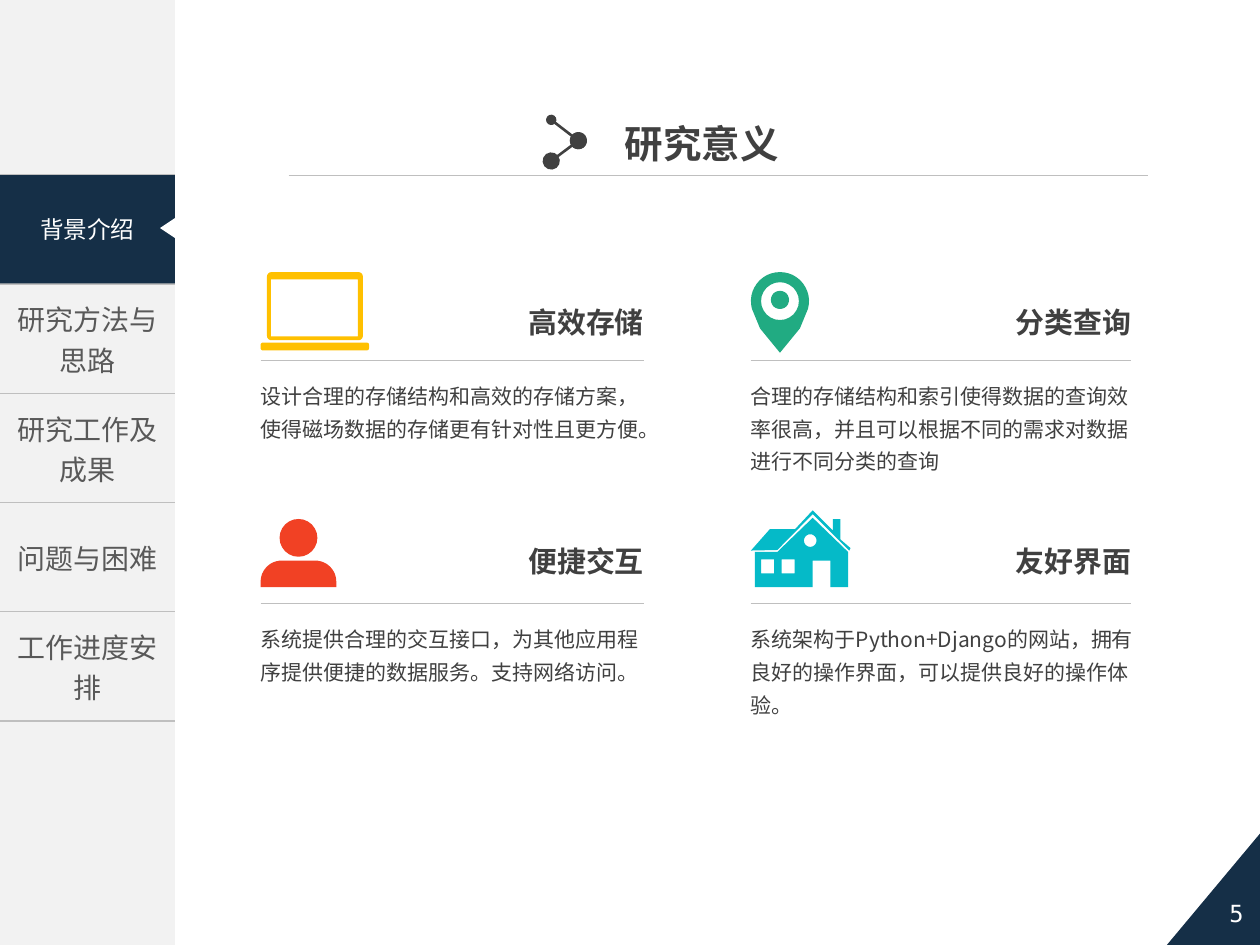
from math import cos, radians, sin

from lxml.etree import SubElement
from pptx import Presentation
from pptx.dml.color import RGBColor
from pptx.enum.shapes import MSO_CONNECTOR, MSO_SHAPE
from pptx.enum.text import MSO_ANCHOR as ANCHOR, MSO_AUTO_SIZE as FIT, PP_ALIGN as ALIGN
from pptx.oxml.ns import qn
from pptx.util import Pt

COLORS = {
    "panel": "F2F2F2", "navy": "152F47", "white": "FFFFFF", "rule": "BFBFBF",
    "text": "404040", "nav": "595959", "yellow": "FFC000", "green": "21AB82",
    "red": "F14124", "cyan": "05BAC8",
}
CJK = "Noto Sans CJK SC"
UNITS = 20  # freeform steps per point
NAV_W, NAV_TOP, NAV_ROW = 100, 100, 62.4
NAV_ITEMS = ["研究方法与思路", "研究工作及成果", "问题与困难", "工作进度安排"]


def rgb(name):
    return RGBColor.from_string(COLORS[name])


def write(tf, text, size, color, font=CJK, bold=False, align=ALIGN.LEFT, spacing=None):
    p = tf.paragraphs[0]
    p.text = text
    p.alignment = align
    p.line_spacing = spacing
    p.font.size, p.font.bold, p.font.name = Pt(size), bold, font
    p.font.color.rgb = rgb(color)
    SubElement(p._p.pPr.find(qn("a:defRPr")), qn("a:ea"), typeface=font)


def set_margins(tf, side, edge):
    tf.margin_left = tf.margin_right = Pt(side)
    tf.margin_top = tf.margin_bottom = Pt(edge)


def paint(sp, color):
    sp.shadow.inherit = False
    sp.line.fill.background()
    if color:
        sp.fill.solid()
        sp.fill.fore_color.rgb = rgb(color)
    else:
        sp.fill.background()


def add_preset(s, kind, x, y, w, h, color=None, flip=False):
    sp = s.shapes.add_shape(kind, Pt(x), Pt(y), Pt(w), Pt(h))
    paint(sp, color)
    if flip:
        sp._element.spPr.xfrm.set("flipH", "1")
    return sp


def add_line(s, x1, y1, x2, y2, color="rule", width=0.5, ends=()):
    line = s.shapes.add_connector(MSO_CONNECTOR.STRAIGHT, Pt(x1), Pt(y1), Pt(x2), Pt(y2))
    line.line.color.rgb = rgb(color)
    line.line.width = Pt(width)
    for tag, size in zip(("a:headEnd", "a:tailEnd"), ends):
        SubElement(line.line._get_or_add_ln(), qn(tag), type="oval", w=size, len=size)
    SubElement(line._element.spPr, qn("a:effectLst"))


def add_text(s, x, y, w, h, text, size, wrap=True, anchor=ANCHOR.TOP, **style):
    tf = s.shapes.add_textbox(Pt(x), Pt(y), Pt(w), Pt(h)).text_frame
    tf.word_wrap, tf.vertical_anchor, tf.auto_size = wrap, anchor, FIT.SHAPE_TO_FIT_TEXT
    write(tf, text, size, "text", **style)


# Outlines, as lists of points
def arc(cx, cy, r, start=0, end=360, steps=24):
    angles = [radians(start + (end - start) * i / steps) for i in range(steps + 1)]
    return [(cx + r * cos(a), cy + r * sin(a)) for a in angles]


def box(x1, y1, x2, y2):
    return [(x1, y1), (x2, y1), (x2, y2), (x1, y2)]


def round_box(x1, y1, x2, y2, r):
    corners = box(x1 + r, y1 + r, x2 - r, y2 - r)
    return [pt for i, (x, y) in enumerate(corners)
            for pt in arc(x, y, r, 180 + 90 * i, 270 + 90 * i, 6)]


def add_icon(s, color, outlines):
    builder = None
    for outline in outlines:
        pts = [(x * UNITS, y * UNITS) for x, y in outline]
        if builder is None:
            builder = s.shapes.build_freeform(*pts[0], scale=Pt(1) / UNITS)
        else:
            builder.move_to(*pts[0])
        builder.add_line_segments(pts[1:], close=True)
    paint(builder.convert_to_shape(), color)


def laptop():
    return [round_box(149, 195.8, 210.9, 200.2, 1.2),
            round_box(152.6, 155.5, 207.4, 194.4, 2.5),
            box(154.8, 159.6, 204.6, 192.2)]


def pin():
    cx, cy = 445.7, 172.1
    drop = arc(cx, cy, 16.6, 165, 375)
    drop += [(457.1, 187.7), (cx, 201.6), (434.3, 187.7)]
    return [drop, arc(cx, cy, 10.8), arc(cx, 171.4, 5.2)]


def person():
    shoulders = arc(161, 332.4, 12, 180, 270) + arc(180.2, 332.4, 12, 270, 360)
    return [arc(170.6, 307.4, 10.8), shoulders + [(192.2, 335.5), (149, 335.5)]]


def house():
    walls = [(484.6, 315.4), (464.4, 295.9), (444.2, 315.4), (431.3, 315.4),
             (431.3, 335.5), (464.4, 335.5), (464.4, 320.4), (474.5, 320.4),
             (474.5, 335.5), (484.6, 335.5)]
    roof = [(486, 313.2), (485.3, 314.6), (464.4, 293.8), (444.2, 314.3),
            (429.1, 314.6), (439.9, 302.4), (454.3, 302.4), (464.4, 291.6),
            (475.9, 303.1), (475.9, 296.6), (480.2, 296.6), (480.2, 308.2)]
    windows = [box(x, 319.7, x + 7.5, 327.6) for x in (434.9, 446.6)]
    return [walls, roof, arc(463, 308.9, 3.6)] + windows


def add_border(cell, side, color=None):
    ln = SubElement(cell._tc.get_or_add_tcPr(), qn(f"a:ln{side}"), w=str(Pt(1)))
    if color:
        SubElement(SubElement(ln, qn("a:solidFill")), qn("a:srgbClr"), val=COLORS[color])
    else:
        SubElement(ln, qn("a:noFill"))


def add_nav(s):
    add_preset(s, MSO_SHAPE.RECTANGLE, 0, 0, NAV_W, 540, "panel")
    labels = [""] + NAV_ITEMS
    table = s.shapes.add_table(len(labels), 1, 0, Pt(NAV_TOP), Pt(NAV_W),
                               Pt(NAV_ROW * len(labels))).table
    table.first_row = table.horz_banding = False
    for row, label in zip(table.rows, labels):
        row.height = Pt(NAV_ROW)
        cell = row.cells[0]
        for side, color in (("L", None), ("R", None), ("T", "rule"), ("B", "rule")):
            add_border(cell, side, color)
        cell.fill.background()
        cell.vertical_anchor = ANCHOR.MIDDLE
        set_margins(cell, 5, 3.6)
        if label:
            write(cell.text_frame, label, 16, "nav", align=ALIGN.CENTER)
    # Current section
    active = add_preset(s, MSO_SHAPE.RECTANGLE, 0, NAV_TOP, NAV_W, 62, "navy")
    write(active.text_frame, "背景介绍", 13.5, "white", align=ALIGN.CENTER)
    marker = add_preset(s, MSO_SHAPE.ISOSCELES_TRIANGLE, 90, 126, 11.5, 8.6, "white")
    marker.rotation = 270


def add_title(s):
    title = s.shapes.title
    title.left, title.top, title.width, title.height = Pt(352), Pt(65.5), Pt(100), Pt(32.4)
    tf = title.text_frame
    tf.word_wrap, tf.vertical_anchor, tf.auto_size = False, ANCHOR.TOP, FIT.SHAPE_TO_FIT_TEXT
    set_margins(tf, 5, 2.9)
    write(tf, "研究意义", 22, "text", font="Arial", bold=True)
    add_line(s, 165, 100, 656, 100)
    # Linked dots
    add_line(s, 315, 68.5, 330.5, 80.4, "text", 1.5, ("med", "lg"))
    add_line(s, 330.5, 80.4, 315, 92, "text", 1.5, ("lg", "lg"))


def add_page_number(s, number):
    add_preset(s, MSO_SHAPE.RIGHT_TRIANGLE, 666, 474, 56, 67, "navy", flip=True)
    sp = add_preset(s, MSO_SHAPE.PENTAGON, 672.5, 502, 58.3, 39.6, flip=True)
    set_margins(sp.text_frame, 5, 2.9)
    write(sp.text_frame, number, 13.5, "white", font="DejaVu Sans Mono", align=ALIGN.CENTER)


def add_benefit(s, col, row, color, icon, heading, body):
    left, right = ((149, 368), (429, 646.5))[col]
    rule_y = (206, 345)[row]
    add_icon(s, color, icon)
    add_line(s, left, rule_y, right, rule_y)
    add_text(s, right - 74.5, (170, 307)[row], 81.4, 27.4, heading, 16.5, wrap=False,
             anchor=ANCHOR.MIDDLE, bold=True, align=ALIGN.RIGHT)
    add_text(s, left - 7, rule_y + 5.3, 240, 45, body, 12, spacing=1.3)


def main():
    prs = Presentation()
    prs.slide_width, prs.slide_height = Pt(720), Pt(540)
    s = prs.slides.add_slide(prs.slide_layouts[5])
    add_nav(s)
    add_title(s)
    add_page_number(s, "5")
    add_benefit(s, 0, 0, "yellow", laptop(), "高效存储",
                "设计合理的存储结构和高效的存储方案，使得磁场数据的存储更有针对性且更方便。")
    add_benefit(s, 1, 0, "green", pin(), "分类查询",
                "合理的存储结构和索引使得数据的查询效率很高，并且可以根据不同的需求对数据进行不同分类的查询")
    add_benefit(s, 0, 1, "red", person(), "便捷交互",
                "系统提供合理的交互接口，为其他应用程序提供便捷的数据服务。支持网络访问。")
    add_benefit(s, 1, 1, "cyan", house(), "友好界面",
                "系统架构于Python+Django的网站，拥有良好的操作界面，可以提供良好的操作体验。")
    prs.save("out.pptx")


if __name__ == "__main__":
    main()
